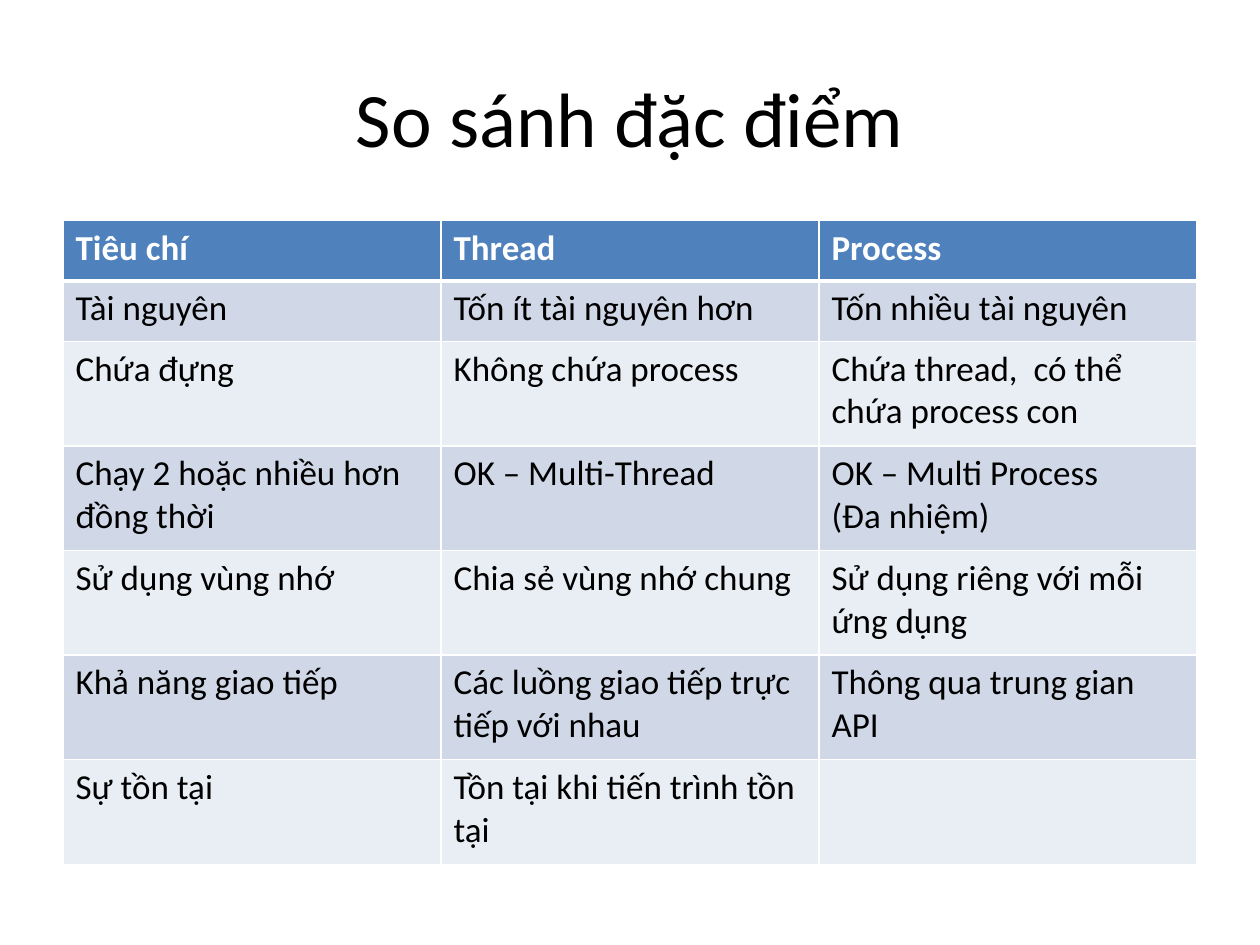
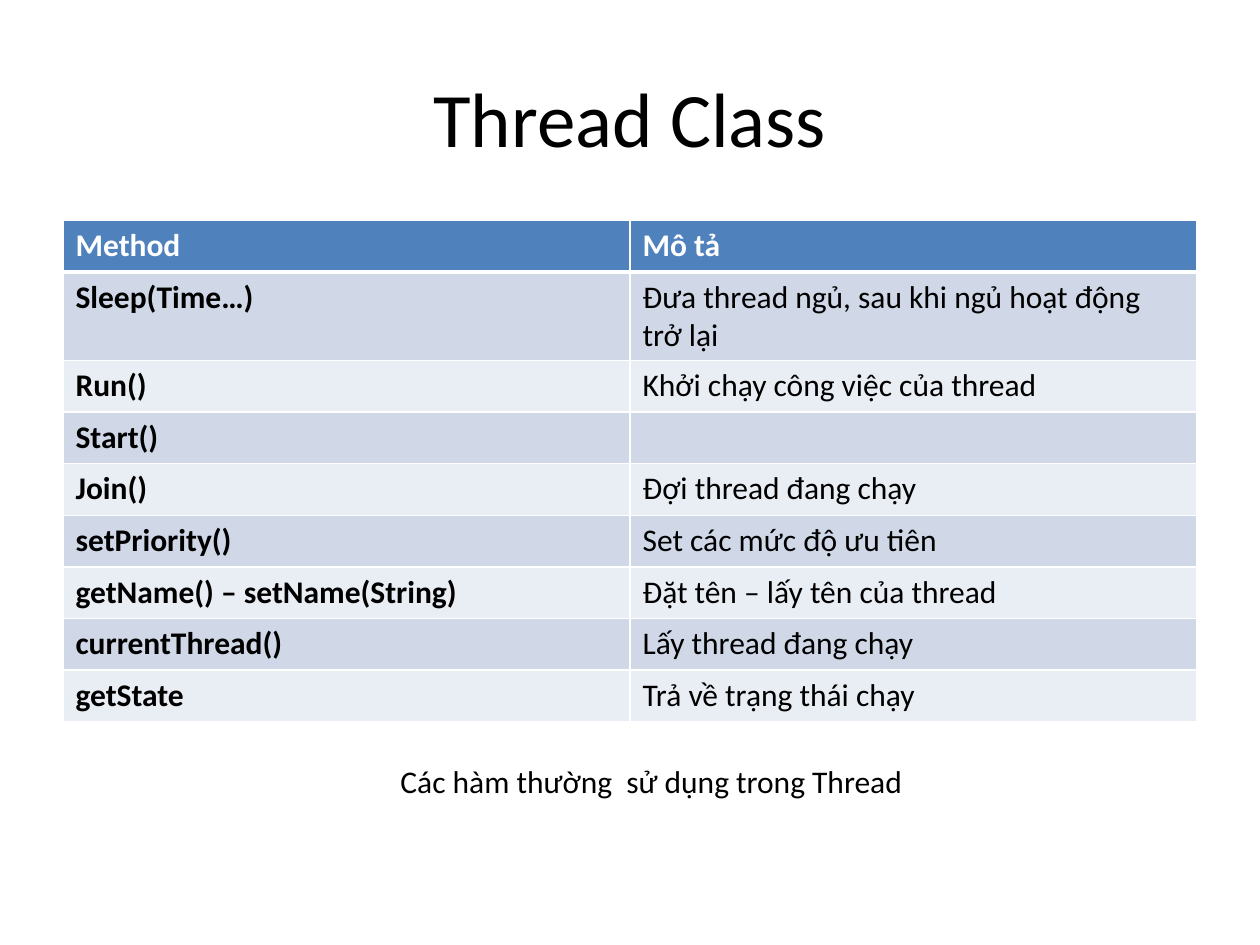
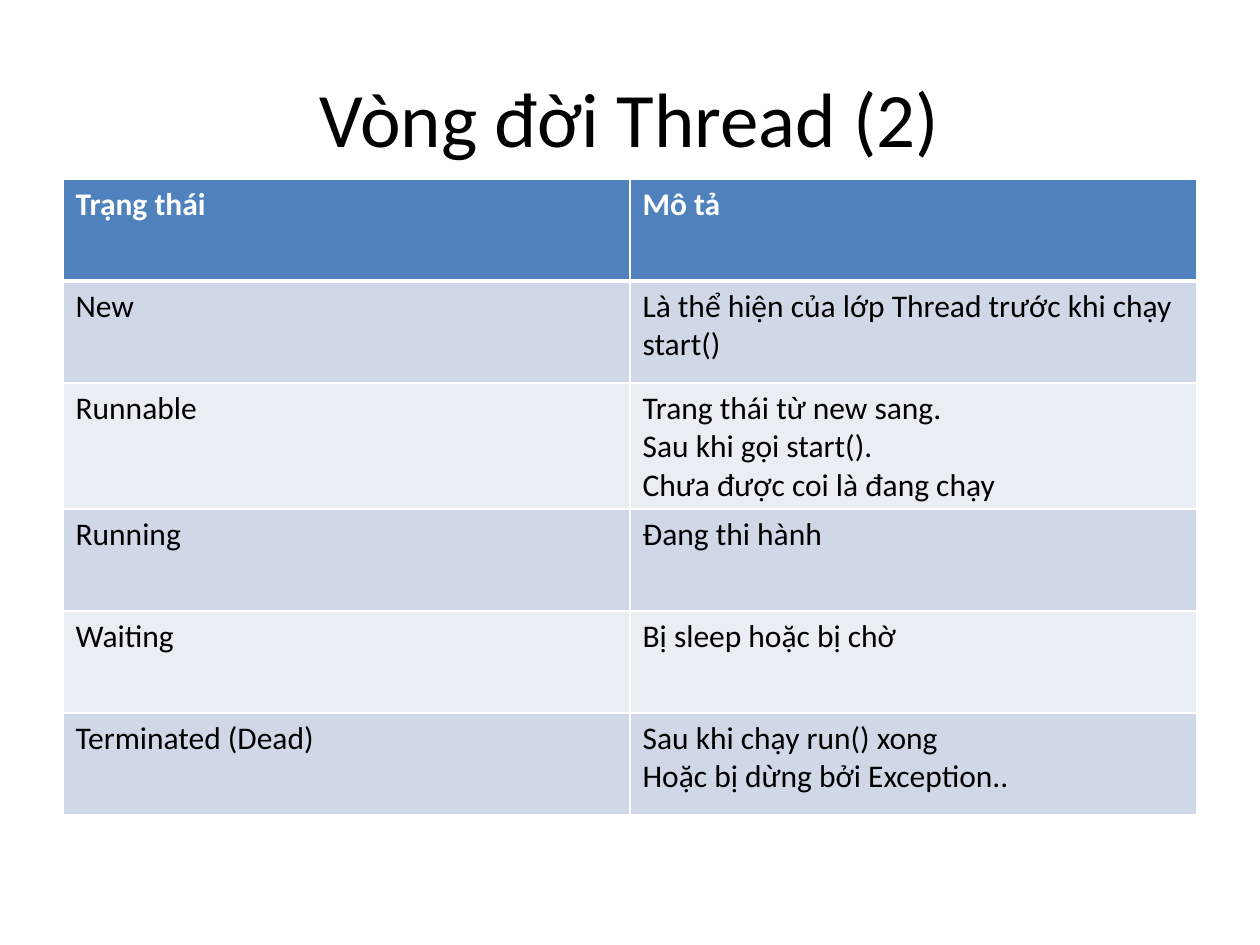
from lxml.etree import SubElement
from pptx import Presentation
from pptx.dml.color import RGBColor
from pptx.enum.text import MSO_ANCHOR as Anchor, PP_ALIGN as Align
from pptx.oxml.ns import qn
from pptx.util import Inches, Pt

FONT = "Calibri"
BLACK = RGBColor(0x00, 0x00, 0x00)
WHITE = RGBColor(0xFF, 0xFF, 0xFF)
HEADER = RGBColor(0x4F, 0x81, 0xBD)
BANDS = (RGBColor(0xD0, 0xD8, 0xE8), RGBColor(0xE9, 0xED, 0xF4))

WIDTH, HEIGHT = 10, 7.5
MARGIN = WIDTH / 20
CONTENT = WIDTH - 2 * MARGIN
THIN, THICK = 1, 3

SLIDES = [
    {
        "title": "So sánh đặc điểm",
        "top": 1.75,
        "size": 20,
        "heights": [0.48] * 2 + [0.83] * 5,
        "rows": [
            ("Tiêu chí", "Thread", "Process"),
            ("Tài nguyên", "Tốn ít tài nguyên hơn", "Tốn nhiều tài nguyên"),
            ("Chứa đựng", "Không chứa process", "Chứa thread,  có thể chứa process con"),
            ("Chạy 2 hoặc nhiều hơn đồng thời", "OK – Multi-Thread", "OK – Multi Process\n(Đa nhiệm)"),
            ("Sử dụng vùng nhớ", "Chia sẻ vùng nhớ chung", "Sử dụng riêng với mỗi ứng dụng"),
            ("Khả năng giao tiếp", "Các luồng giao tiếp trực tiếp với nhau", "Thông qua trung gian API"),
            ("Sự tồn tại", "Tồn tại khi tiến trình tồn tại", ""),
        ],
    },
    {
        "title": "Thread Class",
        "top": 1.75,
        "size": 18,
        "heights": [0.41] * 9,
        "bold_first_column": True,
        "rows": [
            ("Method", "Mô tả"),
            ("Sleep(Time…)", "Đưa thread ngủ, sau khi ngủ hoạt động trở lại"),
            ("Run()", "Khởi chạy công việc của thread"),
            ("Start()", ""),
            ("Join()", "Đợi thread đang chạy"),
            ("setPriority()", "Set các mức độ ưu tiên"),
            ("getName() – setName(String)", "Đặt tên – lấy tên của thread"),
            ("currentThread()", "Lấy thread đang chạy"),
            ("getState", "Trả về trạng thái chạy"),
        ],
        "caption": "Các hàm thường  sử dụng trong Thread",
    },
    {
        "title": "Vòng đời Thread (2)",
        "top": 1.42,
        "size": 18,
        "heights": [0.81] * 6,
        "rows": [
            ("Trạng thái", "Mô tả"),
            ("New", "Là thể hiện của lớp Thread trước khi chạy start()"),
            ("Runnable", "Trang thái từ new sang.\nSau khi gọi start().\nChưa được coi là đang chạy"),
            ("Running", "Đang thi hành"),
            ("Waiting", "Bị sleep hoặc bị chờ"),
            ("Terminated (Dead)", "Sau khi chạy run() xong\nHoặc bị dừng bởi Exception.."),
        ],
    },
]


def write(frame, text, size, color=BLACK, bold=False, align=Align.LEFT):
    frame.text = text
    style = {"name": FONT, "size": Pt(size), "bold": bold}
    for para in frame.paragraphs:
        para.alignment = align
        for span in para.runs:
            for name, value in style.items():
                setattr(span.font, name, value)
            span.font.color.rgb = color


def add_text(page, place, text, size, wrap=True, **style):
    box = page.shapes.add_textbox(*map(Inches, place))
    write(box.text_frame, text, size, **style)
    box.text_frame.word_wrap = wrap
    return box


def add_borders(cell, row):
    widths = {
        "L": THIN,
        "R": THIN,
        "T": THICK if row == 1 else THIN,
        "B": THICK if row == 0 else THIN,
    }
    properties = cell._tc.get_or_add_tcPr()
    for side, width in widths.items():
        line = SubElement(properties, qn(f"a:ln{side}"), w=str(Pt(width)))
        fill = SubElement(line, qn("a:solidFill"))
        SubElement(fill, qn("a:srgbClr"), val=str(WHITE))


def add_grid(page, content):
    rows, heights = content["rows"], content["heights"]
    columns = len(rows[0])
    place = (MARGIN, content["top"], CONTENT, sum(heights))
    table = page.shapes.add_table(len(rows), columns, *map(Inches, place)).table
    for column in table.columns:
        column.width = Inches(CONTENT / columns)
    for r, texts in enumerate(rows):
        table.rows[r].height = Inches(heights[r])
        for c, text in enumerate(texts):
            cell = table.cell(r, c)
            add_borders(cell, r)
            cell.fill.solid()
            cell.fill.fore_color.rgb = BANDS[(r - 1) % 2] if r else HEADER
            bold = r == 0 or (c == 0 and content.get("bold_first_column", False))
            write(cell.text_frame, text, content["size"], BLACK if r else WHITE, bold)


def build_page(deck, content):
    page = deck.slides.add_slide(deck.slide_layouts[6])
    title_place = (MARGIN, HEIGHT / 25, CONTENT, HEIGHT / 6)
    title = add_text(page, title_place, content["title"], 44, align=Align.CENTER)
    title.text_frame.vertical_anchor = Anchor.MIDDLE
    add_grid(page, content)
    if "caption" in content:
        add_text(page, (3.08, HEIGHT * 0.8, 4.24, 0.4), content["caption"], 18, wrap=False)


def main():
    deck = Presentation()
    deck.slide_width, deck.slide_height = Inches(WIDTH), Inches(HEIGHT)
    for content in SLIDES:
        build_page(deck, content)
    deck.save("out.pptx")


if __name__ == "__main__":
    main()
